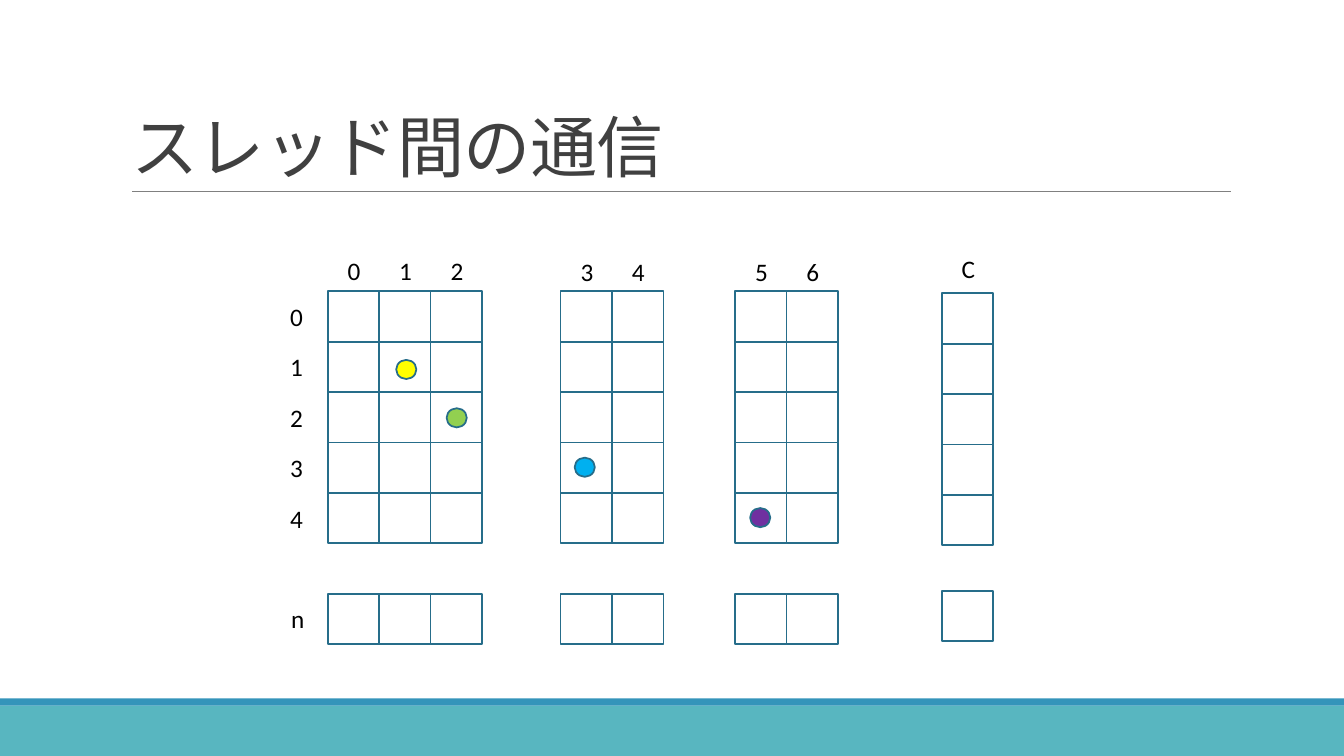
from lxml.etree import SubElement
from pptx import Presentation
from pptx.dml.color import RGBColor
from pptx.enum.shapes import MSO_CONNECTOR, MSO_SHAPE
from pptx.enum.text import MSO_ANCHOR, MSO_AUTO_SIZE, PP_ALIGN
from pptx.oxml.ns import qn
from pptx.util import Inches, Pt

CELL_WIDTH, CELL_HEIGHT = 0.51, 0.5
ROW_COUNT = 5


def color(hex_string):
    return RGBColor.from_string(hex_string)


def write(frame, text, size=18, font="Calibri", ink="000000", spacing=None, line_spacing=None):
    paragraph = frame.paragraphs[0]
    paragraph.alignment = PP_ALIGN.LEFT
    if line_spacing:
        paragraph.line_spacing = line_spacing
    run = paragraph.add_run()
    run.text = text
    run.font.size = Pt(size)
    run.font.name = font
    run.font.color.rgb = color(ink)
    if spacing:
        run._r.get_or_add_rPr().set("spc", str(int(spacing * 100)))


class Board:
    outline = "266D8A"
    outline_width = 1.25

    def __init__(self, slide):
        self.slide = slide

    def title(self, text, left, top, width, height):
        heading = self.slide.shapes.title
        heading.left, heading.top = Inches(left), Inches(top)
        heading.width, heading.height = Inches(width), Inches(height)
        frame = heading.text_frame
        frame.auto_size = MSO_AUTO_SIZE.NONE
        frame.vertical_anchor = MSO_ANCHOR.BOTTOM
        write(frame, text, size=48, ink="404040", spacing=-0.5, line_spacing=0.85)

    def shape(self, kind, left, top, width, height, fill=None, outlined=True):
        item = self.slide.shapes.add_shape(
            kind, Inches(left), Inches(top), Inches(width), Inches(height))
        item.shadow.inherit = False
        if fill:
            item.fill.solid()
            item.fill.fore_color.rgb = color(fill)
        else:
            item.fill.background()
        if outlined:
            item.line.color.rgb = color(self.outline)
            item.line.width = Pt(self.outline_width)
        else:
            item.line.fill.background()

    def band(self, top, height, fill):
        self.shape(MSO_SHAPE.RECTANGLE, 0, top, 13.33, height, fill, outlined=False)

    def cell(self, left, top):
        self.shape(MSO_SHAPE.RECTANGLE, left, top, CELL_WIDTH, CELL_HEIGHT)

    def dot(self, left, top, fill):
        self.shape(MSO_SHAPE.OVAL, left, top, 0.2, 0.19, fill)

    def rule(self, left, right, top):
        divider = self.slide.shapes.add_connector(
            MSO_CONNECTOR.STRAIGHT, Inches(left), Inches(top), Inches(right), Inches(top))
        divider.line.color.rgb = color("808080")
        divider.line.width = Pt(0.5)
        SubElement(divider._element.spPr, qn("a:effectLst"))

    def label(self, text, left, top):
        box = self.slide.shapes.add_textbox(
            Inches(left), Inches(top), Inches(0.3), Inches(0.4))
        box.text_frame.word_wrap = True
        box.text_frame.auto_size = MSO_AUTO_SIZE.SHAPE_TO_FIT_TEXT
        write(box.text_frame, text)

    def block(self, headers, left, top, last_top, header_top):
        for column, header in enumerate(headers):
            column_left = left + column * CELL_WIDTH
            for row in range(ROW_COUNT):
                self.cell(column_left, top + row * CELL_HEIGHT)
            self.cell(column_left, last_top)
            self.label(header, column_left + 0.1, header_top)


def main():
    presentation = Presentation()
    presentation.slide_width = Inches(13.33)
    presentation.slide_height = Inches(7.5)
    board = Board(presentation.slides.add_slide(presentation.slide_layouts[5]))

    board.band(7, 0.5, "58B6C0")
    board.band(6.93, 0.07, "3494BA")
    board.rule(1.31, 12.21, 1.9)
    board.title("スレッド間の通信", 1.2, 0.31, 11, 1.59)

    board.block("012", 3.25, 2.89, 5.89, 2.48)
    board.block("34", 5.56, 2.89, 5.89, 2.49)
    board.block("56", 7.29, 2.89, 5.89, 2.49)
    board.block("C", 9.34, 2.91, 5.86, 2.46)

    for row in range(ROW_COUNT):
        board.label(str(row), 2.78, 2.94 + row * CELL_HEIGHT)
    board.label("n", 2.79, 5.94)

    for left, top, fill in (
        (3.93, 3.57, "FFFF00"),
        (4.43, 4.05, "92D050"),
        (5.7, 4.54, "00B0F0"),
        (7.44, 5.04, "7030A0"),
    ):
        board.dot(left, top, fill)

    presentation.save("out.pptx")


if __name__ == "__main__":
    main()
